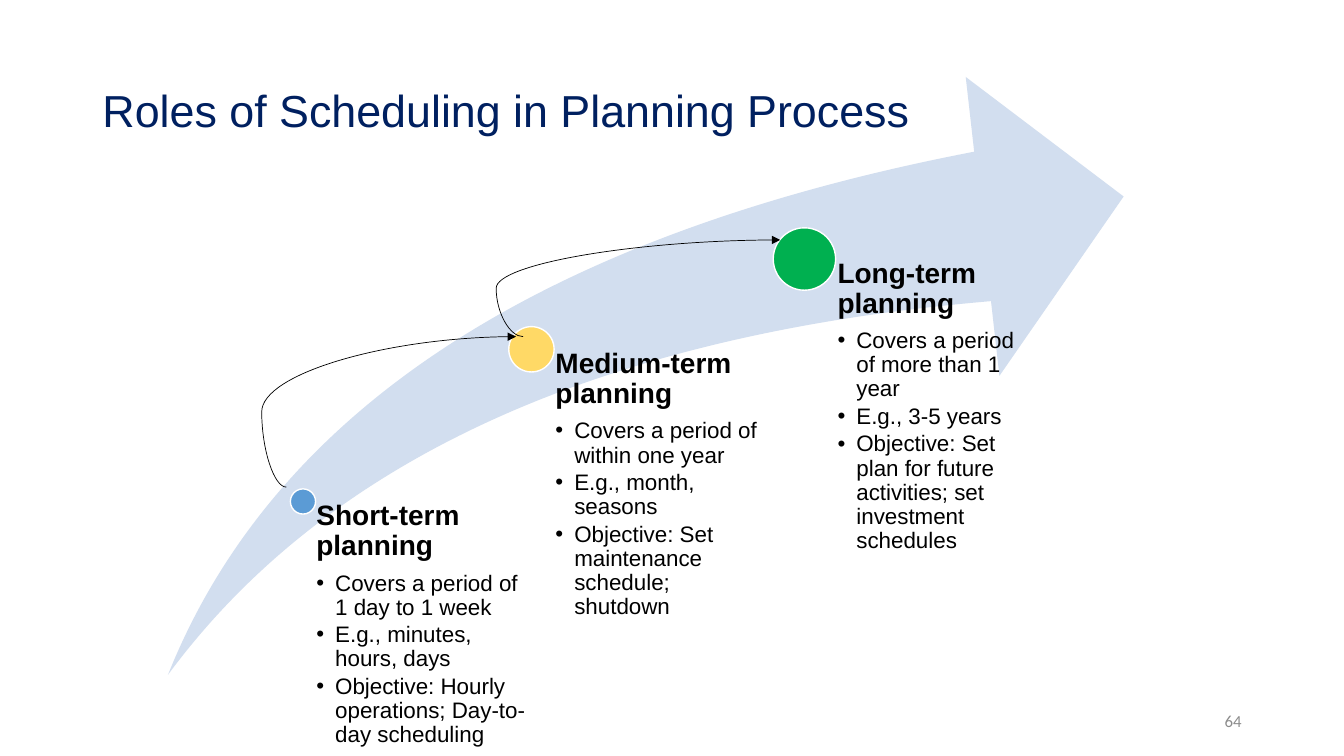
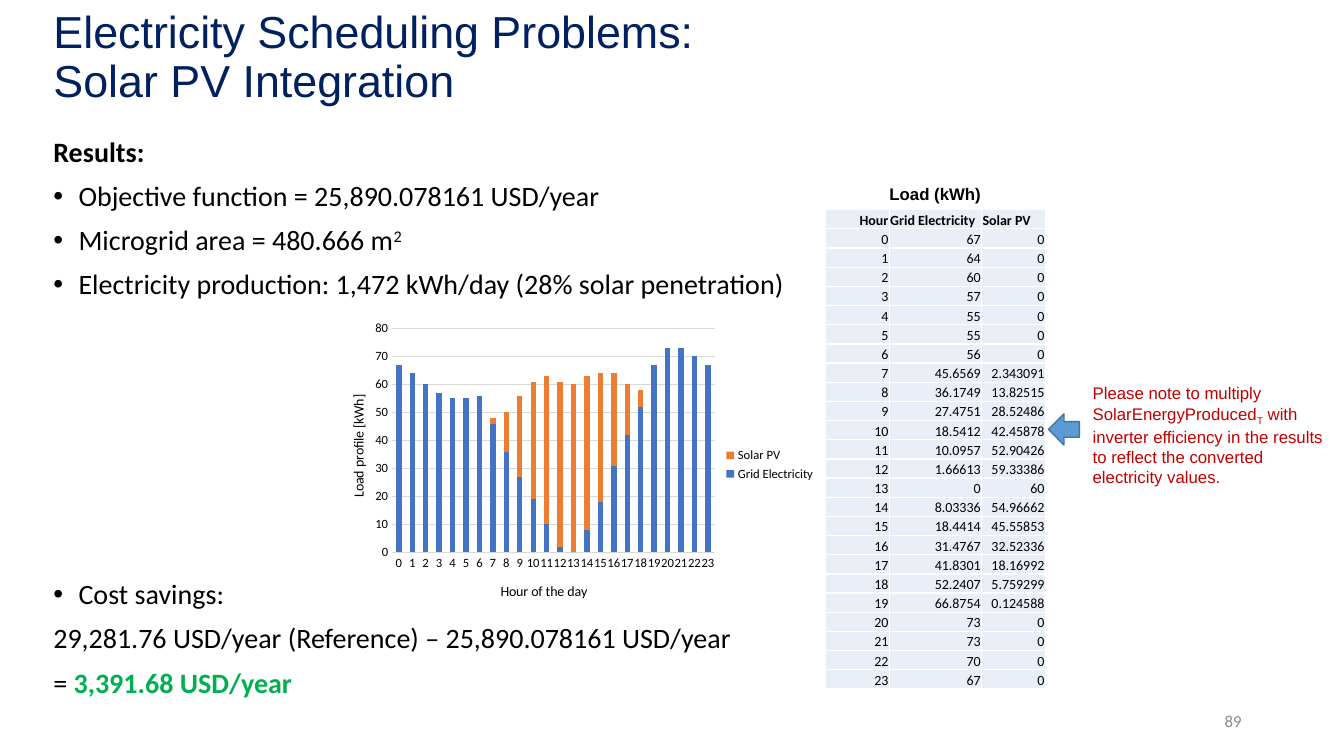
from functools import reduce

from lxml.etree import SubElement
from pptx import Presentation
from pptx.chart.data import CategoryChartData
from pptx.dml.color import RGBColor
from pptx.enum.chart import XL_CHART_TYPE, XL_LEGEND_POSITION, XL_TICK_MARK
from pptx.enum.shapes import MSO_CONNECTOR, MSO_SHAPE
from pptx.enum.text import MSO_ANCHOR, MSO_AUTO_SIZE, PP_ALIGN
from pptx.oxml import parse_xml
from pptx.oxml.ns import nsdecls, qn
from pptx.util import Pt

NAVY = RGBColor(0x00, 0x20, 0x60)
BLACK = RGBColor(0, 0, 0)
WHITE = RGBColor(0xFF, 0xFF, 0xFF)
GRAY = RGBColor(0x8C, 0x8C, 0x8C)
RULE = RGBColor(0xD9, 0xD9, 0xD9)
PALE = RGBColor(0xD2, 0xDE, 0xEF)
CELL = RGBColor(0xEA, 0xEF, 0xF7)
BLUE = RGBColor(0x5B, 0x9B, 0xD5)
EDGE = RGBColor(0x43, 0x73, 0x9E)
GOLD = RGBColor(0xFF, 0xD9, 0x66)
GREEN = RGBColor(0x00, 0xB0, 0x50)
RED = RGBColor(0xC0, 0x00, 0x00)
GRID_BLUE = RGBColor(0x44, 0x72, 0xC4)
ORANGE = RGBColor(0xED, 0x7D, 0x31)


def face(name, size, color=BLACK, bold=False):
    """Return the format values of a font."""
    return {"name": name, "size": Pt(size), "color.rgb": color, "bold": bold}


TITLE = face("Arial", 32, NAVY)
HEAD = face("Arial", 20, bold=True)
ITEM = face("Arial", 16)
NOTE = face("Arial", 12, RED)
LABEL = face("Arial", 12, bold=True)
BODY = face("Calibri", 20)
SMALL = face("Calibri", 10)
TICK = face("Calibri", 9)
PAGE = face("Calibri", 12, GRAY)
TIGHT = {"line_spacing": 0.9}
LOOSE = {"line_spacing": 0.9, "space_before": Pt(10)}
BARE = dict.fromkeys(("margin_left", "margin_top", "margin_right", "margin_bottom"), 0)
MIDDLE = {"vertical_anchor": MSO_ANCHOR.MIDDLE}

STAGES = [
    ((96.4, 303.2), 18, 159, BLUE, "Short-term planning",
     ["Covers a period of 1 day to 1 week", "E.g., minutes, hours, days",
      "Objective: Hourly operations; Day-to-day scheduling"]),
    ((259.6, 194.5), 32.4, 164, GOLD, "Medium-term planning",
     ["Covers a period of within one year", "E.g., month, seasons",
      "Objective: Set maintenance schedule; shutdown"]),
    ((454.6, 130), 44.6, 164, GREEN, "Long-term planning",
     ["Covers a period of more than 1 year", "E.g., 3-5 years",
      "Objective: Set plan for future activities; set investment schedules"]),
]
LINKS = [((84.5, 293), (248.6, 185.5), -10700), ((253.7, 185.5), (437.3, 116.4), -10500)]
GRID = ("67 64 60 57 55 55 56 45.6569 36.1749 27.4751 18.5412 10.0957 1.66613 0 8.03336 "
        "18.4414 31.4767 41.8301 52.2407 66.8754 73 73 70 67").split()
SOLAR = ("0 0 0 0 0 0 0 2.343091 13.82515 28.52486 42.45878 52.90426 59.33386 60 54.96662 "
         "45.55853 32.52336 18.16992 5.759299 0.124588 0 0 0 0").split()
HOURS = [str(hour) for hour in range(24)]
NAMES = ["Hour", "Grid Electricity", "Solar PV"]


def put(item, form):
    """Set the attributes, dotted names included, that a dict gives."""
    for key, val in form.items():
        *way, last = key.split(".")
        setattr(reduce(getattr, way, item), last, val)


def pts(*vals):
    """Turn numbers into point lengths."""
    return [Pt(val) for val in vals]


def write(para, parts, font, form=TIGHT):
    """Fill a paragraph with (text, extra format) parts and return its runs."""
    put(para, form)
    runs = []
    for text, extra in parts:
        run = para.add_run()
        run.text = text
        put(run.font, {**font, **extra})
        runs.append(run)
    return runs


def lift(run, base):
    """Raise or lower a run by a percentage."""
    run.font._element.set("baseline", str(base * 1000))


def mark(para, dent):
    """Give a paragraph a hanging bullet."""
    props = para._p.get_or_add_pPr()
    props.set("marL", str(Pt(dent)))
    props.set("indent", str(-Pt(dent)))
    SubElement(props, qn("a:buFont"), typeface="Arial")
    SubElement(props, qn("a:buChar"), char="•")


def line(frame, first):
    """Return the first paragraph or a new one."""
    return frame.paragraphs[0] if first else frame.add_paragraph()


def text_box(slide, area, form):
    """Add a wrapping text box and return its frame."""
    frame = slide.shapes.add_textbox(*pts(*area)).text_frame
    put(frame, {"word_wrap": True, **form})
    return frame


def shape(slide, kind, area, fill, edge=None):
    """Add a flat preset shape."""
    form = slide.shapes.add_shape(kind, *pts(*area))
    form.shadow.inherit = False
    form.fill.solid()
    form.fill.fore_color.rgb = fill
    if edge is None:
        form.line.fill.background()
    else:
        put(form.line, {"color.rgb": edge, "width": Pt(1)})
    return form


def start(deck, title, area, page):
    """Add a slide with its title and page number."""
    slide = deck.slides.add_slide(deck.slide_layouts[5])
    head = slide.shapes.title
    put(head, dict(zip(("left", "top", "width", "height"), pts(*area))))
    frame = head.text_frame
    put(frame, {"word_wrap": True, "auto_size": MSO_AUTO_SIZE.NONE, **MIDDLE})
    for num, text in enumerate(title):
        write(line(frame, num == 0), [(text, {})], TITLE, {**TIGHT, "alignment": PP_ALIGN.LEFT})
    foot = text_box(slide, (678, 500.4, 216, 28.8), MIDDLE)
    write(foot.paragraphs[0], [(page, {})], PAGE, {"alignment": PP_ALIGN.RIGHT})
    return slide


def stage(slide, area, data):
    """Place a dot on the swoosh and its text at the lower right."""
    left, top, _, high = area
    (dx, dy), size, wide, color, head, items = data
    x, y = left + dx, top + dy
    shape(slide, MSO_SHAPE.OVAL, (x - size / 2, y - size / 2, size, size), color, WHITE)
    frame = text_box(slide, (x, y, wide, high - dy),
                     {**BARE, "margin_left": Pt(size * 0.53)})
    write(frame.paragraphs[0], [(head, {})], HEAD, {**TIGHT, "space_after": Pt(7)})
    for item in items:
        para = frame.add_paragraph()
        mark(para, 13.5)
        write(para, [(item, {})], ITEM, {**TIGHT, "space_after": Pt(2.4)})


def link(slide, area, data):
    """Draw a curved arrow between two stages."""
    left, top = area[:2]
    (ax, ay), (bx, by), bend = data
    wire = slide.shapes.add_connector(
        MSO_CONNECTOR.CURVE, *pts(left + ax, top + ay, left + bx, top + by))
    put(wire.line, {"color.rgb": BLACK, "width": Pt(0.5)})
    props = wire._element.spPr
    SubElement(props.find(qn("a:ln")), qn("a:tailEnd"), type="triangle")
    SubElement(props, qn("a:effectLst"))
    geom = props.find(qn("a:prstGeom"))
    SubElement(geom.find(qn("a:avLst")), qn("a:gd"), name="adj1", fmla=f"val {bend}")


def roles(deck):
    """Build the slide on the roles of scheduling."""
    slide = start(deck, ["Roles of Scheduling in Planning Process"],
                  (66, 28.8, 828, 104.4), "64")
    area = (120, 55, 682.6, 427)
    swoosh = shape(slide, MSO_SHAPE.SWOOSH_ARROW, area, PALE)
    swoosh.adjustments[0] = swoosh.adjustments[1] = 0.25
    for data in STAGES:
        stage(slide, area, data)
    for data in LINKS:
        link(slide, area, data)


def body(slide, area, rows):
    """Write rows of (bulleted, parts) and return the runs of each."""
    frame = text_box(slide, area, {})
    made = []
    for num, (dot, parts) in enumerate(rows):
        para = line(frame, num == 0)
        if dot:
            mark(para, 18)
        made.append(write(para, parts, BODY, LOOSE if num else TIGHT))
    return made


def fix(node, spot, **vals):
    """Give a chart part a manual layout."""
    for old in node.findall(qn("c:layout")):
        node.remove(old)
    tags = "".join(f'<c:{key} val="{val}"/>' for key, val in vals.items())
    modes = '<c:xMode val="edge"/><c:yMode val="edge"/>'
    node.insert(spot, parse_xml(f"<c:layout {nsdecls('c')}><c:manualLayout>"
                                f"{modes}{tags}</c:manualLayout></c:layout>"))


def axis(part, title, x, y):
    """Format a chart axis and place its title."""
    part.major_tick_mark = part.minor_tick_mark = XL_TICK_MARK.NONE
    put(part.tick_labels.font, TICK)
    head = part.axis_title
    write(head.text_frame.paragraphs[0], [(title, {})], SMALL, {})
    fix(head._element, 1, x=x, y=y)


def load_chart(slide, area):
    """Add the stacked chart of hourly load."""
    data = CategoryChartData()
    data.categories = HOURS
    for name, vals in zip(NAMES[1:], (GRID, SOLAR)):
        data.add_series(name, [round(float(val)) for val in vals])
    chart = slide.shapes.add_chart(XL_CHART_TYPE.COLUMN_STACKED, *pts(*area), data).chart
    put(chart, {"has_title": False, "has_legend": True})
    put(chart.font, SMALL)
    put(chart.legend, {"position": XL_LEGEND_POSITION.RIGHT, "include_in_layout": False})
    put(chart.legend.font, TICK)
    plot = chart.plots[0]
    put(plot, {"gap_width": 150, "overlap": 100, "vary_by_categories": False})
    for bars, color in zip(plot.series, (GRID_BLUE, ORANGE)):
        bars.format.fill.solid()
        bars.format.fill.fore_color.rgb = color
    axis(chart.category_axis, "Hour of the day", 0.35, 0.88)
    axis(chart.value_axis, "Load profile [kWh]", 0.05, 0.26)
    put(chart.value_axis, {"minimum_scale": 0, "maximum_scale": 80, "major_unit": 10})
    chart.value_axis.format.line.fill.background()
    for rule in (chart.category_axis, chart.value_axis.major_gridlines):
        put(rule.format.line, {"color.rgb": RULE, "width": Pt(0.75)})
    fix(chart._chartSpace.chart.plotArea, 0, x=0.14, y=0.05, w=0.64, h=0.74)
    inner = parse_xml(f'<c:layoutTarget {nsdecls("c")} val="inner"/>')
    chart._chartSpace.chart.plotArea[0][0].insert(0, inner)


def fill_cell(cell, text, font, side):
    """Write a table cell with white borders."""
    put(cell, {**dict.fromkeys(BARE, Pt(0.7)), "margin_bottom": 0,
               "vertical_anchor": MSO_ANCHOR.BOTTOM})
    write(cell.text_frame.paragraphs[0], [(text, {})], font, {"alignment": side})
    props = cell._tc.get_or_add_tcPr()
    for edge in "LRTB":
        rim = SubElement(props, qn(f"a:ln{edge}"), w=str(Pt(1)))
        SubElement(SubElement(rim, qn("a:solidFill")), qn("a:srgbClr"), val=str(WHITE))
    cell.fill.solid()
    cell.fill.fore_color.rgb = CELL


def load_table(slide, area):
    """Add the table of hourly load."""
    rows = [NAMES, *zip(HOURS, GRID, SOLAR)]
    table = slide.shapes.add_table(len(rows), 3, *pts(*area)).table
    put(table, {"first_row": False, "horz_banding": False})
    for col, part in zip(table.columns, (0.29, 0.42, 0.29)):
        col.width = Pt(area[2] * part)
    for y, row in enumerate(rows):
        table.rows[y].height = Pt(area[3] / len(rows))
        for x, text in enumerate(row):
            side = PP_ALIGN.LEFT if y == 0 and x else PP_ALIGN.RIGHT
            fill_cell(table.cell(y, x), text, {**SMALL, "bold": y == 0}, side)


def solar(deck):
    """Build the slide on solar integration."""
    slide = start(deck, ["Electricity Scheduling Problems:", "Solar PV Integration"],
                  (31, 13.7, 828, 56.2), "89")
    made = body(slide, (31, 95, 555, 126), [
        (False, [("Results:", {"bold": True})]),
        (True, [("Objective function = 25,890.078161 USD/year", {})]),
        (True, [("Microgrid area = 480.666 m", {}), ("2", {})]),
        (True, [("Electricity production: 1,472 kWh/day (28% solar penetration)", {})])])
    lift(made[2][1], 30)
    body(slide, (31, 411, 555, 95), [
        (True, [("Cost savings:", {})]),
        (False, [("29,281.76 USD/year (Reference) – 25,890.078161 USD/year", {})]),
        (False, [("= ", {}), ("3,391.68 USD/year", {"color.rgb": GREEN, "bold": True})])])
    load_chart(slide, (229.7, 223.9, 360, 216))
    load_table(slide, (589.7, 149.8, 157, 342.7))
    note = text_box(slide, (780.5, 276.5, 173, 68.4), {**BARE, **MIDDLE})
    runs = write(note.paragraphs[0], [
        ("Please note to multiply SolarEnergyProduced", {}), ("T", {}),
        (" with inverter efficiency in the results to reflect the converted "
         "electricity values.", {})], NOTE, {})
    lift(runs[1], -25)
    shape(slide, MSO_SHAPE.LEFT_ARROW, (749, 295.6, 22, 22.3), BLUE, EDGE)
    label = text_box(slide, (609, 124.6, 118, 27.4), {**BARE, **MIDDLE})
    write(label.paragraphs[0], [("Load (kWh)", {})], LABEL, {"alignment": PP_ALIGN.CENTER})


def main():
    """Build and save the deck."""
    deck = Presentation()
    put(deck, {"slide_width": Pt(960), "slide_height": Pt(540)})
    roles(deck)
    solar(deck)
    deck.save("out.pptx")


if __name__ == "__main__":
    main()
